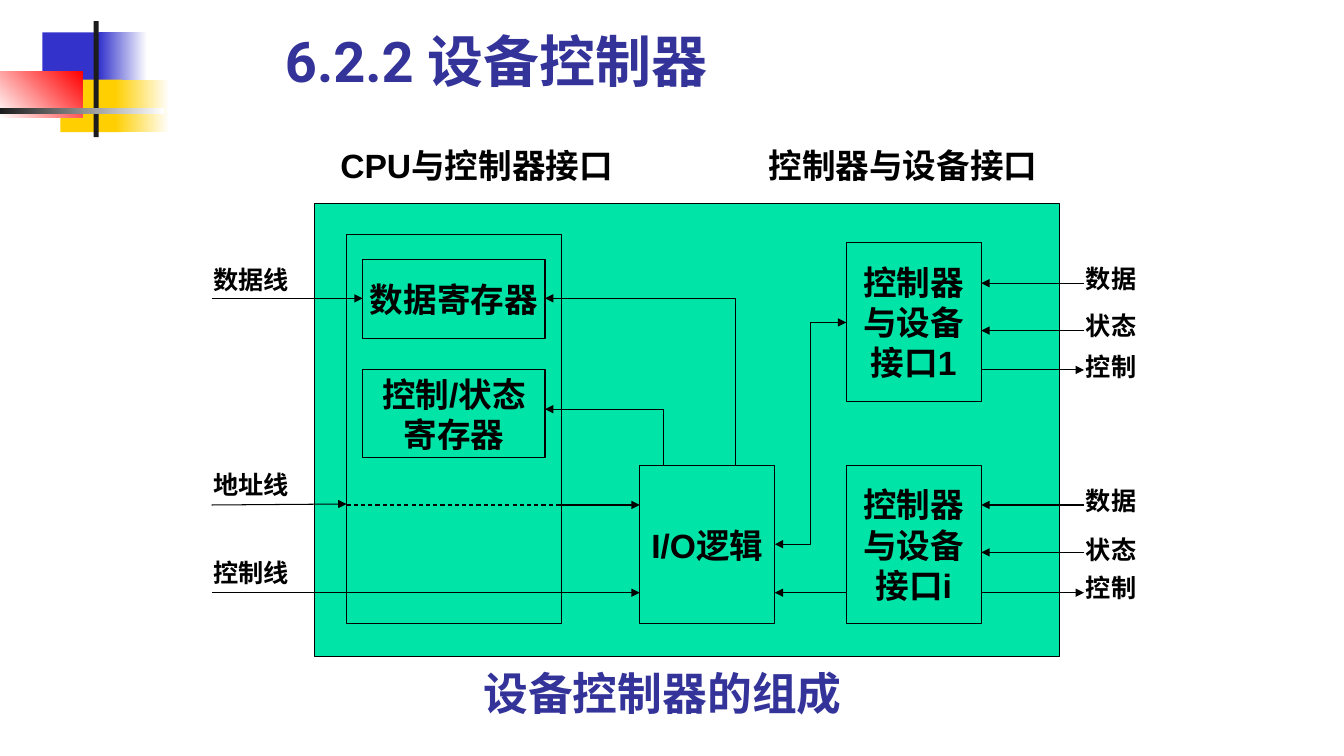
"""Slide showing the structure of a device controller."""
from pptx import Presentation
from pptx import util as u
from pptx.dml.color import RGBColor
from pptx.enum import dml, shapes, text
from pptx.oxml.ns import qn
from lxml import etree

PX = 9144
BLACK = RGBColor(0x00, 0x00, 0x00)
WHITE = RGBColor(0xFF, 0xFF, 0xFF)
CHARCOAL = RGBColor(0x1C, 0x1C, 0x1C)
BLUE = RGBColor(0x33, 0x33, 0xCC)
YELLOW = RGBColor(0xFF, 0xCF, 0x01)
RED = RGBColor(0xFF, 0x00, 0x00)
GREEN = RGBColor(0x00, 0xE4, 0xA8)
TITLE_BLUE = RGBColor(0x33, 0x33, 0x99)

presentation = Presentation()
presentation.slide_width = 1334 * PX
presentation.slide_height = 750 * PX
slide = presentation.slides.add_slide(presentation.slide_layouts[6])


def add_box(left, top, width, height):
    shape = slide.shapes.add_shape(
        shapes.MSO_SHAPE.RECTANGLE, left * PX, top * PX, width * PX, height * PX)
    shape.shadow.inherit = False
    return shape


def write(shape, wording, size, font_name, color, alignment, anchor):
    frame = shape.text_frame
    frame.text = wording
    frame.vertical_anchor = anchor
    for paragraph in frame.paragraphs:
        paragraph.alignment = alignment
        font = paragraph.runs[0].font
        font.size, font.name, font.bold = u.Pt(size), font_name, True
        font.color.rgb = color


ornaments = [
    (42, 32, 64, 52, BLUE, None, 0),
    (98, 32, 48, 52, BLUE, WHITE, 0),
    (60, 79, 61, 52, YELLOW, None, 0),
    (114, 79, 54, 52, YELLOW, WHITE, 0),
    (0, 71, 82, 46, WHITE, RED, 45),
    (93, 21, 5, 115, CHARCOAL, None, 0),
    (0, 107, 163, 6, CHARCOAL, WHITE, 0),
]
for left, top, width, height, start, end, angle in ornaments:
    ornament = add_box(left, top, width, height)
    ornament.line.fill.background()
    if end is None:
        ornament.fill.solid()
        ornament.fill.fore_color.rgb = start
    else:
        ornament.fill.gradient()
        ornament.fill.gradient_angle = angle
        for stop, color in zip(ornament.fill.gradient_stops, (start, end)):
            stop.color.rgb = color

blocks = [
    (312, 202, 740, 449, ""),
    (344, 233, 213, 386, ""),
    (635, 462, 134, 157, "I/O逻辑"),
    (840, 241, 134, 157, "控制器\n与设备\n接口1"),
    (840, 462, 134, 157, "控制器\n与设备\n接口i"),
    (360, 257, 181, 79, "数据寄存器"),
    (360, 367, 181, 87, "控制/状态\n寄存器"),
]
for left, top, width, height, wording in blocks:
    block = add_box(left, top, width, height)
    block.fill.solid()
    block.fill.fore_color.rgb = GREEN
    block.line.color.rgb = BLACK
    block.line.width = u.Pt(0.75)
    if wording:
        block.text_frame.word_wrap = False
        write(block, wording, 24, "Arial", BLACK,
              text.PP_ALIGN.CENTER, text.MSO_ANCHOR.MIDDLE)

END = ("tailEnd",)
BOTH = ("headEnd", "tailEnd")
wires = [
    (210, 296, 360, 296, END),
    (210, 501, 344, 500, END),
    (210, 588, 635, 588, END),
    (344, 501, 556, 501, ()),
    (556, 501, 635, 501, END),
    (840, 588, 769, 588, END),
    (769, 540, 840, 320, BOTH),
    (730, 296, 541, 296, END),
    (659, 406, 541, 406, END),
    (730, 296, 730, 462, ()),
    (659, 406, 659, 462, ()),
]
for data_y, status_y, control_y in ((281, 328, 367), (501, 548, 588)):
    wires += [
        (1076, data_y, 974, data_y, END),
        (1076, status_y, 974, status_y, END),
        (974, control_y, 1076, control_y, END),
    ]
for x1, y1, x2, y2, arrowheads in wires:
    kind = shapes.MSO_CONNECTOR.ELBOW if arrowheads == BOTH else shapes.MSO_CONNECTOR.STRAIGHT
    wire = slide.shapes.add_connector(kind, x1 * PX, y1 * PX, x2 * PX, y2 * PX)
    wire.line.color.rgb = BLACK
    wire.line.width = u.Pt(0.75)
    if not arrowheads and y1 == y2:
        wire.line.dash_style = dml.MSO_LINE.DASH
    properties = wire._element.spPr
    for arrowhead in arrowheads:
        etree.SubElement(properties.find(qn("a:ln")), qn("a:" + arrowhead), type="triangle")
    etree.SubElement(properties, qn("a:effectLst"))

ARIAL = ("Arial", BLACK, text.MSO_ANCHOR.TOP)
HEADING = ("Roboto", TITLE_BLUE, text.MSO_ANCHOR.BOTTOM)
labels = [
    (273, 21, 852, 77, "6.2.2 设备控制器", 40, HEADING),
    (470, 659, 394, 60, "设备控制器的组成", 32, HEADING),
    (328, 139, 299, 50, "CPU与控制器接口", 24, ARIAL),
    (753, 139, 299, 50, "控制器与设备接口", 24, ARIAL),
]
for top, wording in ((257, "数据线"), (461, "地址线"), (548, "控制线")):
    labels.append((202, top, 102, 40, wording, 18, ARIAL))
for tops in ((256, 303, 344), (477, 525, 563)):
    for top, wording in zip(tops, ("数据", "状态", "控制")):
        labels.append((1068, top, 79, 40, wording, 18, ARIAL))
for left, top, width, height, wording, size, (font_name, color, anchor) in labels:
    label = slide.shapes.add_textbox(left * PX, top * PX, width * PX, height * PX)
    label.text_frame.word_wrap = True
    write(label, wording, size, font_name, color, text.PP_ALIGN.LEFT, anchor)

presentation.save("out.pptx")
